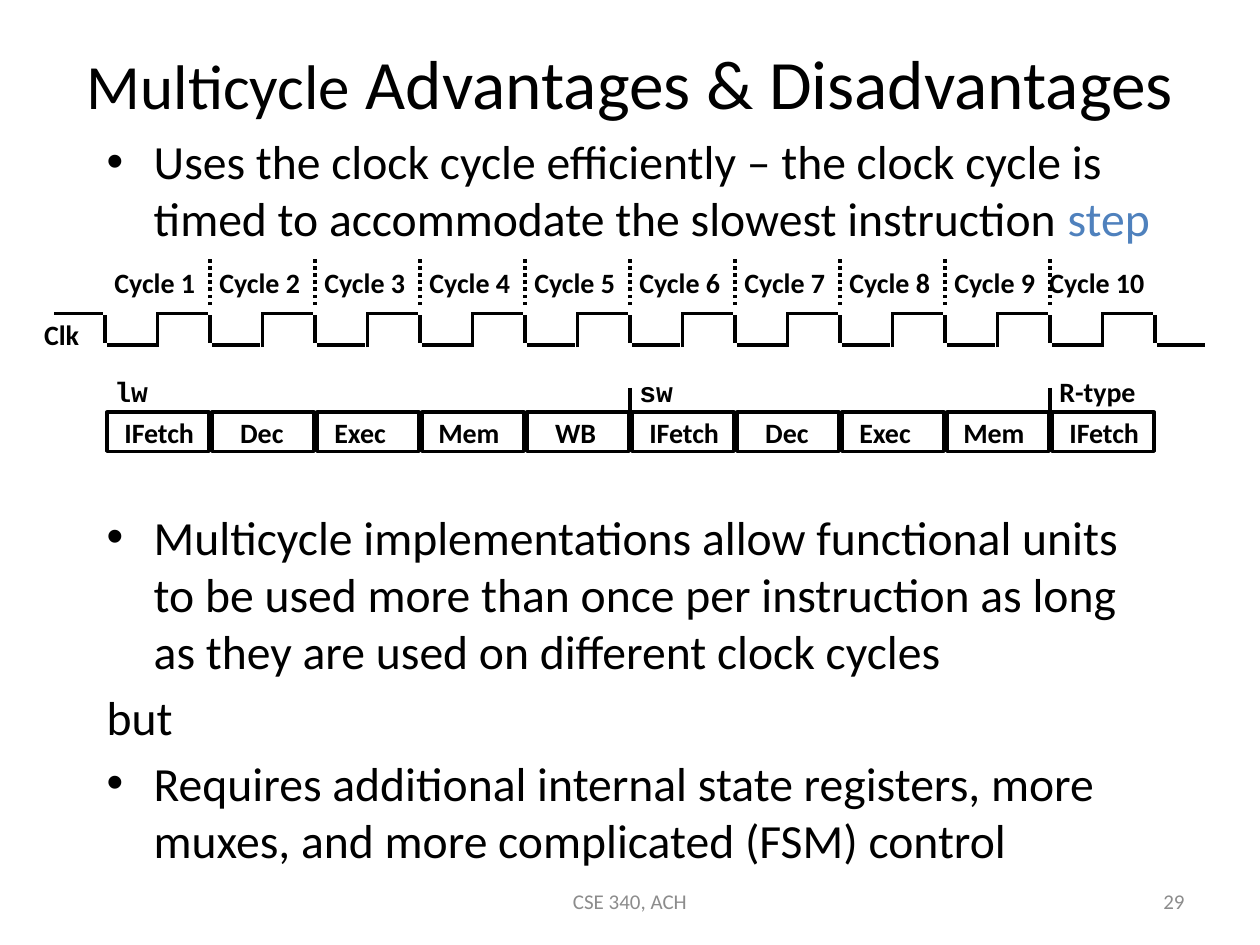
from lxml.etree import SubElement
from pptx import Presentation
from pptx.dml.color import RGBColor
from pptx.enum.dml import MSO_LINE_DASH_STYLE as Dash
from pptx.enum.shapes import MSO_CONNECTOR, MSO_SHAPE
from pptx.enum.text import MSO_ANCHOR as Anchor, MSO_AUTO_SIZE as AutoSize, PP_ALIGN as Align
from pptx.oxml.ns import qn
from pptx.util import Cm, Pt

BLACK, BLUE, GRAY = "000000", "4F81BD", "8C8C8C"
CYCLE = 25.4 / 12  # one clock cycle is a twelfth of the slide width, in cm
GAP = 0.04         # clearance beside each clock edge
HIGH, LOW = 6.32, 6.96
CYCLE_COUNT = 10

# Instruction: name, font, first cycle, stages
INSTRUCTIONS = [
    ("lw", "Courier New", 1, ["IFetch", "Dec", "Exec", "Mem", "WB"]),
    ("sw", "Courier New", 6, ["IFetch", "Dec", "Exec", "Mem"]),
    ("R-type", "Calibri", 10, ["IFetch"]),
]
# Stage: label offset in its box, label width
STAGE_LABELS = {"IFetch": (0.14, 2.16), "Dec": (0.36, 1.52), "Exec": (0.14, 1.83),
                "Mem": (0.12, 1.78), "WB": (0.36, 1.45)}


def color(value):
    return RGBColor.from_string(value)


def add_run(paragraph, text, size, fill=BLACK, font="Calibri", bold=False):
    run = paragraph.add_run()
    run.text = text
    run.font.name = font
    run.font.size = Pt(size)
    run.font.bold = bold
    run.font.color.rgb = color(fill)


def add_label(slide, text, left, top, width, font="Calibri"):
    shape = slide.shapes.add_textbox(Cm(left), Cm(top), Cm(width), Cm(0.91))
    shape.text_frame.word_wrap = False
    shape.text_frame.auto_size = AutoSize.SHAPE_TO_FIT_TEXT
    add_run(shape.text_frame.paragraphs[0], text, 16, font=font, bold=True)


def add_line(slide, x1, y1, x2, y2, width=2, dash=None):
    line = slide.shapes.add_connector(MSO_CONNECTOR.STRAIGHT, Cm(x1), Cm(y1), Cm(x2), Cm(y2))
    line.line.color.rgb = color(BLACK)
    line.line.width = Pt(width)
    if dash is not None:
        line.line.dash_style = dash
    SubElement(line._element.spPr, qn("a:effectLst"))


def add_stage(slide, stage, cycle):
    left = cycle * CYCLE
    box = slide.shapes.add_shape(MSO_SHAPE.RECTANGLE, Cm(left + GAP), Cm(8.31), Cm(2.06), Cm(0.79))
    box.shadow.inherit = False
    box.fill.background()
    box.line.color.rgb = color(BLACK)
    box.line.width = Pt(2)
    offset, width = STAGE_LABELS[stage]
    add_label(slide, stage, left + offset, 8.26, width)


def add_body(slide, top, height, paragraphs):
    """Each paragraph is (has_bullet, [(text, colour), ...])."""
    shape = slide.shapes.add_textbox(Cm(1.9), Cm(top), Cm(21.8), Cm(height))
    frame = shape.text_frame
    frame.word_wrap = True
    for index, (has_bullet, runs) in enumerate(paragraphs):
        paragraph = frame.add_paragraph() if index else frame.paragraphs[0]
        paragraph.space_before = Pt(5)
        properties = paragraph._p.get_or_add_pPr()
        properties.set("marL", str(Cm(0.95)))
        properties.set("indent", str(-Cm(0.95)))
        if has_bullet:
            SubElement(properties, qn("a:buFont"), typeface="Arial")
            SubElement(properties, qn("a:buChar"), char="•")
        else:
            SubElement(properties, qn("a:buNone"))
        for text, fill in runs:
            add_run(paragraph, text, 27.2, fill)


def add_footer(slide, text, left, width, alignment):
    shape = slide.shapes.add_textbox(Cm(left), Cm(17.65), Cm(width), Cm(1.02))
    shape.text_frame.word_wrap = True
    shape.text_frame.vertical_anchor = Anchor.MIDDLE
    paragraph = shape.text_frame.paragraphs[0]
    paragraph.alignment = alignment
    add_run(paragraph, text, 12, GRAY)


def set_title(slide):
    title = slide.shapes.title
    title.left, title.top, title.width, title.height = Cm(1.27), Cm(0.76), Cm(22.86), Cm(1.78)
    frame = title.text_frame
    frame.auto_size = AutoSize.NONE
    frame.vertical_anchor = Anchor.MIDDLE
    paragraph = frame.paragraphs[0]
    paragraph.alignment = Align.CENTER
    add_run(paragraph, "Multicycle", 36)
    add_run(paragraph, " Advantages & Disadvantages", 39.6)


def add_clock(slide):
    add_label(slide, "Clk", 0.64, 6.27, 1.37)
    half = CYCLE / 2
    # Half cycles alternate: high before each falling edge, low after it
    for cycle in range(1, CYCLE_COUNT + 2):
        edge = cycle * CYCLE
        add_line(slide, edge - half + GAP, HIGH, edge - GAP, HIGH)
        add_line(slide, edge, HIGH + GAP, edge, LOW - GAP)
        add_line(slide, edge + GAP, LOW, edge + half - GAP, LOW)
    for cycle in range(1, CYCLE_COUNT + 1):
        edge = cycle * CYCLE
        add_line(slide, edge + half, LOW + GAP, edge + half, HIGH - GAP)
        if cycle > 1:
            add_line(slide, edge, 6.15, edge, 5.23, dash=Dash.ROUND_DOT)
        offset, width = (-0.06, 2.49) if cycle < 10 else (-0.26, 2.79)
        add_label(slide, f"Cycle {cycle}", edge + offset, 5.23, width)


def add_instructions(slide):
    for name, font, first, stages in INSTRUCTIONS:
        left = first * CYCLE
        add_label(slide, name, left - 0.06, 7.42, 2.26 if font == "Calibri" else 1.19, font)
        for cycle, stage in enumerate(stages, first):
            add_stage(slide, stage, cycle)
        if first > 1:
            add_line(slide, left, 7.82, left, 8.46, width=2.25)


def main():
    presentation = Presentation()
    presentation.slide_width, presentation.slide_height = Cm(25.4), Cm(19.05)
    slide = presentation.slides.add_slide(presentation.slide_layouts[5])
    set_title(slide)

    # Text above and below the timing diagram
    add_body(slide, 2.54, 2.6, [
        (True, [("Uses the clock cycle efficiently – the clock cycle is timed to "
                 "accommodate the slowest instruction ", BLACK), ("step", BLUE)]),
    ])
    add_body(slide, 10.11, 7.1, [
        (True, [("Multicycle implementations allow functional units to be used more than once "
                 "per instruction as long as they are used on different clock cycles", BLACK)]),
        (False, [("but", BLACK)]),
        (True, [("Requires additional internal state registers, more muxes, and more "
                 "complicated (FSM) control", BLACK)]),
    ])

    # Timing diagram
    add_clock(slide)
    add_instructions(slide)

    # Footer
    add_footer(slide, "CSE 340, ACH", 8.68, 8.04, Align.CENTER)
    add_footer(slide, "29", 18.2, 5.93, Align.RIGHT)
    presentation.save("out.pptx")


if __name__ == "__main__":
    main()
